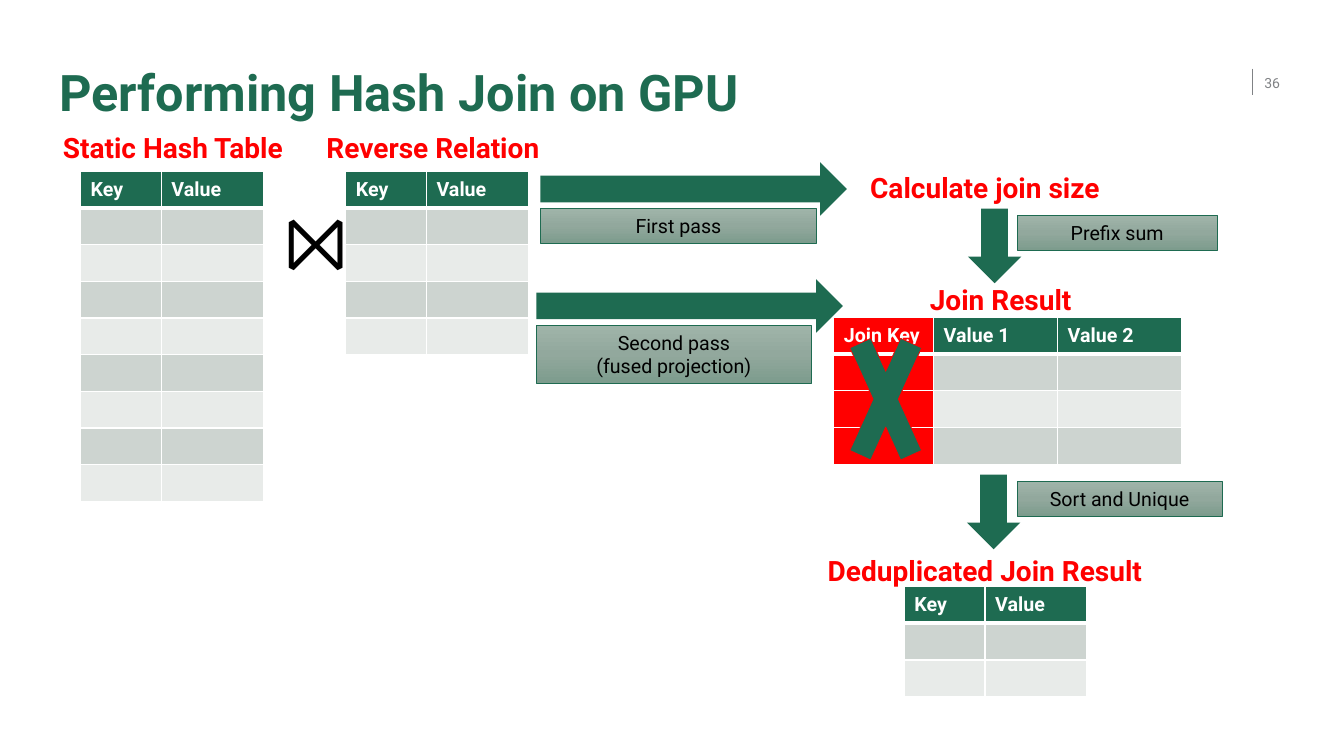
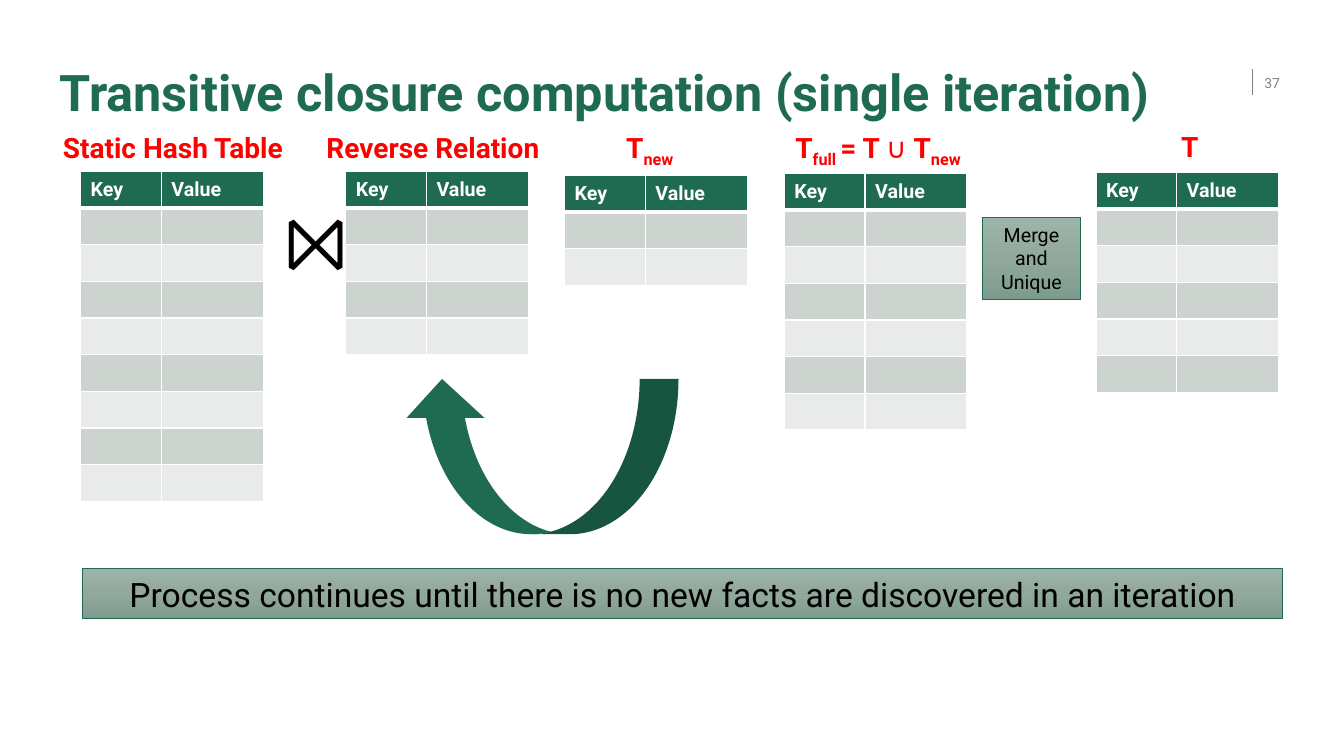
import copy
import dataclasses

import lxml.etree
import pptx
import pptx.dml.color
import pptx.enum.shapes
import pptx.enum.text
import pptx.oxml.ns
import pptx.util

qn = pptx.oxml.ns.qn
rgb = pptx.dml.color.RGBColor.from_string
pt = pptx.util.Pt
SHAPE = pptx.enum.shapes.MSO_SHAPE
ALIGN = pptx.enum.text.PP_ALIGN
ANCHOR = pptx.enum.text.MSO_ANCHOR
FIT = pptx.enum.text.MSO_AUTO_SIZE


@dataclasses.dataclass(frozen=True)
class Theme:
    font: str = "Roboto"
    green: str = "1E6B51"
    red: str = "FF0000"
    grey: str = "808285"
    black: str = "000000"
    white: str = "FFFFFF"
    bands: tuple = ("CDD4D0", "E8EBE9")
    label_stops: tuple = ((0, "9FB4A9"), (0.5, "92A89D"), (1, "7D9C8D"))
    title_size: int = 36
    heading_size: int = 20
    label_size: int = 14
    closing_size: int = 24
    symbol_size: int = 54
    number_size: int = 10


theme = Theme()

# The slide is a grid of 75 rows; columns are as wide as rows are high.
deck = pptx.Presentation()
deck.slide_height = pptx.util.Inches(7.5)
deck.slide_width = pptx.util.Inches(13.33)
CELL = deck.slide_height / 75
ROW = 3.64
KEY_VALUE = (("Key", 8), ("Value", 10.1))
DROPPED = "Join Key"
SUBSCRIPTS = ("new", "full ")


def grid(*cells):
    return [round(cell * CELL) for cell in cells]


def add_text(page, at, text, size, color, bold=False, is_label=False):
    """Add centred text; "|" splits runs, and a label gets a shaded box."""
    if is_label:
        box = page.shapes.add_shape(SHAPE.RECTANGLE, *grid(*at))
        box.shadow.inherit = False
        box.line.color.rgb, box.line.width = rgb(theme.green), pt(0.5)
        box.fill.gradient()
        box.fill.gradient_angle = 270
        stops = box.element.spPr.find(".//" + qn("a:gsLst"))
        stops.insert(1, copy.deepcopy(stops[0]))
        for stop, (position, shade) in zip(box.fill.gradient_stops, theme.label_stops):
            stop.position, stop.color.rgb = position, rgb(shade)
    else:
        box = page.shapes.add_textbox(*grid(*at))
    frame = box.text_frame
    first, *others = text.split("|")
    frame.text = first
    for piece in others:
        frame.paragraphs[0].add_run().text = piece
    frame.word_wrap, frame.auto_size = True, FIT.SHAPE_TO_FIT_TEXT
    frame.vertical_anchor = ANCHOR.TOP
    for para in frame.paragraphs:
        para.alignment = ALIGN.CENTER
        for span in para.runs:
            span.font.name, span.font.size = theme.font, pt(size)
            span.font.color.rgb = rgb(color)
            span.font.bold = bold and "∪" not in span.text
    for run in box.element.iter(qn("a:r")):
        if run.text in SUBSCRIPTS:
            run.get_or_add_rPr().set("baseline", "-25000")
    return box


# Headings and labels: (left, top, width, height), text
# Tables: left, top, columns, body rows
# Arrows: preset, (left, top, width, height)
shared_headings = [
    ((4.1, 12.5, 26.1, 4.4), "Static Hash Table"),
    ((28.6, 12.5, 28.7, 4.4), "Reverse Relation"),
]
shared_tables = [(8, 17, KEY_VALUE, 8), (34.3, 17, KEY_VALUE, 4)]

slides = [
    dict(
        title="Performing Hash Join on GPU",
        number="36",
        headings=shared_headings + [
            ((81.3, 16.4, 32.8, 4.4), "Calculate join size"),
            ((84.9, 27.5, 28.7, 4.4), "Join Result"),
            ((79.6, 54.4, 36.2, 4.4), "Deduplicated Join Result"),
        ],
        tables=shared_tables + [
            (82.7, 31.5, ((DROPPED, 9.9), ("Value 1", 12.3), ("Value 2", 12.3)), 3),
            (89.7, 58.2, KEY_VALUE, 2),
        ],
        arrows=[
            (SHAPE.RIGHT_ARROW, (53.6, 16.1, 30.4, 5.3)),
            (SHAPE.RIGHT_ARROW, (53.2, 27.7, 30.4, 5.3)),
            (SHAPE.DOWN_ARROW, (96, 20.7, 5.3, 7.4)),
            (SHAPE.DOWN_ARROW, (95.9, 47.1, 5.3, 7.4)),
            (SHAPE.MATH_MULTIPLY, (83, 28.9, 9.7, 21.4)),
        ],
        labels=[
            ((53.6, 20.7, 27.4, 3.4), "First pass", theme.label_size),
            ((53.2, 32.3, 27.3, 5.7), "Second pass\n(fused projection)", theme.label_size),
            ((100.9, 21.4, 19.8, 3.4), "Prefix sum", theme.label_size),
            ((100.9, 47.8, 20.3, 3.4), "Sort and Unique", theme.label_size),
        ],
    ),
    dict(
        title="Transitive closure computation (single iteration)",
        number="37",
        headings=shared_headings + [
            ((53.7, 12.5, 21.5, 4.4), "T|new"),
            ((75.1, 12.5, 24, 4.4), "T|full |= T |∪ |T|new"),
            ((106, 12.4, 24, 4.4), "T"),
        ],
        tables=shared_tables + [
            (56, 17.4, KEY_VALUE, 2),
            (77.8, 17.2, KEY_VALUE, 6),
            (108.7, 17.1, KEY_VALUE, 5),
        ],
        arrows=[(SHAPE.CURVED_UP_ARROW, (40, 37.6, 27.3, 15.4))],
        labels=[
            ((97.4, 21.6, 9.8, 8.1), "Merge\nand\nUnique", theme.label_size),
            ((8.2, 56.4, 119, 5),
             "Process continues until there is no new facts are discovered in an iteration",
             theme.closing_size),
        ],
    ),
]

for content in slides:
    page = deck.slides.add_slide(deck.slide_layouts[5])

    # Title, page number and its rule
    title = page.shapes.title
    title.left, title.top, title.width, title.height = grid(5.9, 5.2, 116.3, 8.4)
    frame = title.text_frame
    frame.text = content["title"]
    frame.margin_left = frame.margin_right = frame.margin_top = frame.margin_bottom = 0
    frame.vertical_anchor, frame.auto_size = ANCHOR.MIDDLE, FIT.NONE
    para = frame.paragraphs[0]
    para.alignment, para.line_spacing = ALIGN.LEFT, 0.9
    font = para.runs[0].font
    font.name, font.size, font.bold = theme.font, pt(theme.title_size), True
    font.color.rgb = rgb(theme.green)

    rule = page.shapes.add_connector(
        pptx.enum.shapes.MSO_CONNECTOR.STRAIGHT, *grid(124.2, 6.8, 124.2, 9.4))
    rule.line.color.rgb, rule.line.width = rgb(theme.grey), pt(1)
    lxml.etree.SubElement(rule.element.spPr, qn("a:effectLst"))

    number = add_text(page, (125.4, 6.2, 3.3, 4), content["number"],
                      theme.number_size, theme.grey)
    number.text_frame.auto_size = FIT.NONE
    number.text_frame.margin_left = number.text_frame.margin_right = 0
    number.text_frame.vertical_anchor = ANCHOR.MIDDLE
    number.text_frame.paragraphs[0].alignment = ALIGN.LEFT

    # Relations
    for left, top, columns, body_rows in content["tables"]:
        width = sum(column_width for name, column_width in columns)
        holder = page.shapes.add_table(
            body_rows + 1, len(columns), *grid(left, top, width, ROW * (body_rows + 1)))
        table = holder.table
        for column, (name, column_width) in zip(table.columns, columns):
            column.width = grid(column_width)[0]
        for row in table.rows:
            row.height = grid(ROW)[0]
        nodes = holder.element.iter(qn("a:tc"))
        for index, (cell, node) in enumerate(zip(table.iter_cells(), nodes)):
            row_index, column_index = divmod(index, len(columns))
            name = columns[column_index][0]
            cell.vertical_anchor = ANCHOR.MIDDLE
            for edge in ("lnL", "lnR", "lnT", "lnB"):
                under_header = (row_index, edge) in ((0, "lnB"), (1, "lnT"))
                border = lxml.etree.SubElement(
                    node.get_or_add_tcPr(), qn("a:" + edge),
                    w=str(pt(3 if under_header else 1)))
                paint = lxml.etree.SubElement(border, qn("a:solidFill"))
                lxml.etree.SubElement(paint, qn("a:srgbClr"), val=theme.white)
            if name == DROPPED:
                shade = theme.red
            elif row_index == 0:
                shade = theme.green
            else:
                shade = theme.bands[(row_index - 1) % 2]
            cell.fill.solid()
            cell.fill.fore_color.rgb = rgb(shade)
            if row_index == 0:
                cell.text_frame.text = name
                font = cell.text_frame.paragraphs[0].runs[0].font
                font.name, font.size, font.bold = theme.font, pt(theme.label_size), True
                font.color.rgb = rgb(theme.white)
            else:
                # Keeps empty rows as low as the header row
                lxml.etree.SubElement(node.find(".//" + qn("a:p")), qn("a:endParaRPr"),
                                      sz=str(theme.label_size * 100))

    # Flow between the relations
    for preset, at in content["arrows"]:
        arrow = page.shapes.add_shape(preset, *grid(*at))
        arrow.shadow.inherit = False
        arrow.fill.solid()
        arrow.fill.fore_color.rgb = rgb(theme.green)
        if preset == SHAPE.MATH_MULTIPLY:
            arrow.line.color.rgb, arrow.line.width = rgb(theme.red), pt(0.5)
        else:
            arrow.line.fill.background()
        if preset == SHAPE.CURVED_UP_ARROW:
            arrow.element.spPr.find(qn("a:xfrm")).set("flipH", "1")

    for at, text in content["headings"]:
        add_text(page, at, text, theme.heading_size, theme.red, bold=True)
    for at, text, size in content["labels"]:
        add_text(page, at, text, size, theme.black, is_label=True)
    add_text(page, (27.3, 18.7, 6, 10.1), "⨝", theme.symbol_size, theme.black)

deck.save("out.pptx")
